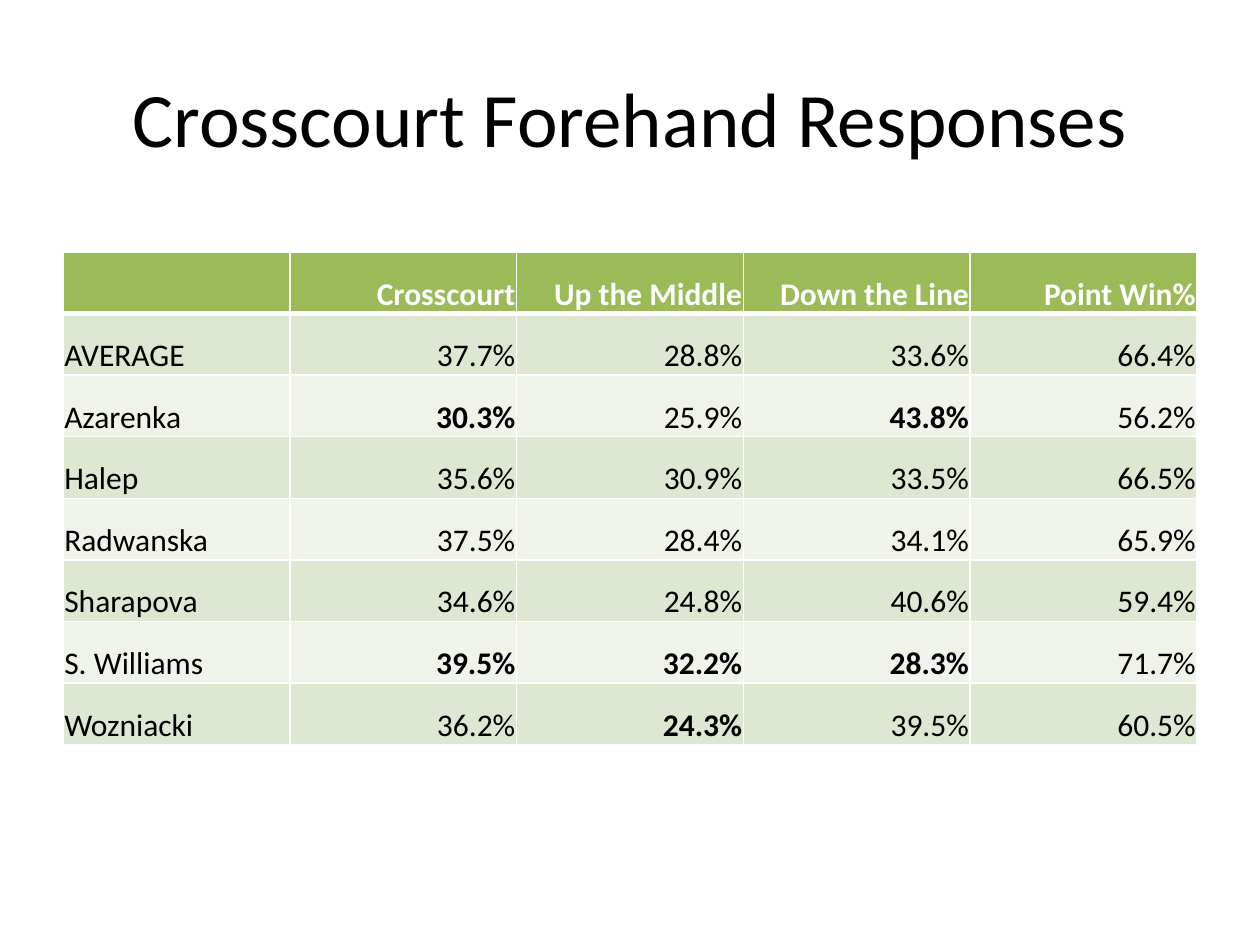
from lxml import etree
from pptx import Presentation
from pptx.dml.color import RGBColor
from pptx.enum.text import MSO_ANCHOR as Anchor, PP_ALIGN as Align
from pptx.oxml.ns import qn
from pptx.util import Pt

COLORS = {"text": "000000", "white": "FFFFFF", "header": "9BBB59",
          "band_dark": "DEE7D1", "band_light": "EFF3EA"}

HEADERS = ["", "Crosscourt", "Up the Middle", "Down the Line", "Point Win%"]
RESPONSES = [
    ["AVERAGE", "37.7%", "28.8%", "33.6%", "66.4%"],
    ["Azarenka", "30.3%", "25.9%", "43.8%", "56.2%"],
    ["Halep", "35.6%", "30.9%", "33.5%", "66.5%"],
    ["Radwanska", "37.5%", "28.4%", "34.1%", "65.9%"],
    ["Sharapova", "34.6%", "24.8%", "40.6%", "59.4%"],
    ["S. Williams", "39.5%", "32.2%", "28.3%", "71.7%"],
    ["Wozniacki", "36.2%", "24.3%", "39.5%", "60.5%"],
]
# Columns to emphasise for each player
BOLD = {"Azarenka": {1, 3}, "S. Williams": {1, 2, 3}, "Wozniacki": {2}}


class SlideBuilder:
    font = "Calibri"

    def __init__(self, slide):
        self.slide = slide

    def set_text(self, tf, text, size, color="text", bold=False, align=Align.LEFT):
        tf.text = text
        p = tf.paragraphs[0]
        p.alignment = align
        for r in p.runs:
            r.font.name, r.font.size, r.font.bold = self.font, Pt(size), bold
            r.font.color.rgb = RGBColor.from_string(COLORS[color])

    def title(self, text, left, top, width, height):
        sp = self.slide.shapes.add_textbox(Pt(left), Pt(top), Pt(width), Pt(height))
        tf = sp.text_frame
        tf.word_wrap = True
        tf.vertical_anchor = Anchor.MIDDLE
        self.set_text(tf, text, 44, align=Align.CENTER)

    def borders(self, cell, top=1, bottom=1):
        """Draw white cell edges; the line elements must precede the fill."""
        tc_pr = cell._tc.get_or_add_tcPr()
        widths = {"lnL": 1, "lnR": 1, "lnT": top, "lnB": bottom}
        for i, (tag, width) in enumerate(widths.items()):
            ln = etree.Element(qn(f"a:{tag}"), w=str(Pt(width)))
            fill = etree.SubElement(ln, qn("a:solidFill"))
            etree.SubElement(fill, qn("a:srgbClr"), val=COLORS["white"])
            tc_pr.insert(i, ln)

    def cell(self, cell, text, fill, **style):
        cell.margin_left = cell.margin_right = cell.margin_top = Pt(0.75)
        cell.margin_bottom = 0
        cell.vertical_anchor = Anchor.BOTTOM
        cell.fill.solid()
        cell.fill.fore_color.rgb = RGBColor.from_string(COLORS[fill])
        self.set_text(cell.text_frame, text, 18, **style)

    def table(self, headers, rows, bold, left, top, width, row_height):
        grid = [headers] + rows
        table = self.slide.shapes.add_table(
            len(grid), len(headers), Pt(left), Pt(top),
            Pt(width), Pt(row_height * len(grid))).table
        for row in table.rows:
            row.height = Pt(row_height)
        for i, values in enumerate(grid):
            header = i == 0
            fill = "header" if header else ("band_light", "band_dark")[i % 2]
            for j, text in enumerate(values):
                cell = table.cell(i, j)
                self.cell(cell, text, fill,
                          color="white" if header else "text",
                          bold=header or j in bold.get(values[0], ()),
                          align=Align.RIGHT if j else Align.LEFT)
                self.borders(cell, top=3 if i == 1 else 1,
                             bottom=3 if header else 1)


def main():
    prs = Presentation()
    prs.slide_width, prs.slide_height = Pt(720), Pt(540)
    s = SlideBuilder(prs.slides.add_slide(prs.slide_layouts[6]))
    s.title("Crosscourt Forehand Responses", 36, 21.6, 648, 90)
    s.table(HEADERS, RESPONSES, BOLD, 36, 144, 648, 35.2)
    prs.save("out.pptx")


if __name__ == "__main__":
    main()
